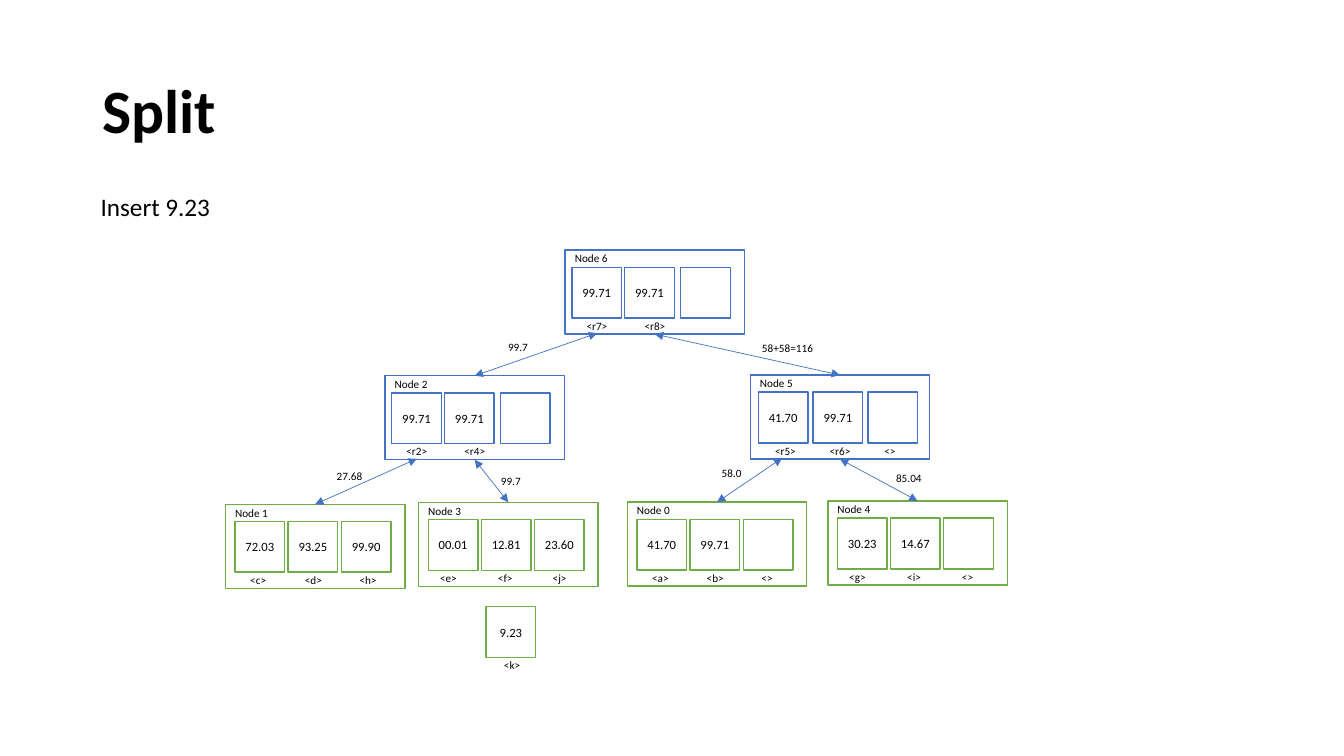
import pptx
import pptx.dml.color
import pptx.enum.shapes
import pptx.enum.text
import pptx.oxml
import pptx.oxml.ns
import pptx.util

Pt = pptx.util.Pt
BLUE, GREEN, BLACK, WHITE = "4472C4", "70AD47", "000000", "FFFFFF"
NODE_WIDTH, NODE_HEIGHT = 128.2, 60
CELL_WIDTH, CELL_HEIGHT = 35.5, 36.3
CELL_TOP, LABEL_TOP = 12.2, 49.3
LABEL_WIDTH, LABEL_HEIGHT = 15.1, 9.4
TOP, BOTTOM = 0, 2

# Offsets from the left side of a node
LEAF_CELLS = (6.9, 44.8, 82.8)
INNER_CELLS = (4.8, 42.5, 82.5)
SPREAD_CELLS = (5.8, 44.9, 84.2)
LABELS = (15.3, 56.7, 95.8)
INSET_LABELS = (17.7, 56.7, 95.8)

# name, left, top, colour, cell offsets, label offsets, values, labels
NODES = [
    ("Node 0", 448.1, 358.7, GREEN, LEAF_CELLS, INSET_LABELS,
     ("41.70", "99.71", ""), ("<a>", "<b>", "<>")),
    ("Node 1", 161, 360.2, GREEN, LEAF_CELLS, INSET_LABELS,
     ("72.03", "93.25", "99.90"), ("<c>", "<d>", "<h>")),
    ("Node 2", 275, 268.4, BLUE, INNER_CELLS, LABELS,
     ("99.71", "99.71", ""), ("<r2>", "<r4>", "")),
    ("Node 3", 299, 358.8, GREEN, LEAF_CELLS, LABELS,
     ("00.01", "12.81", "23.60"), ("<e>", "<f>", "<j>")),
    ("Node 4", 591.3, 357.8, GREEN, LEAF_CELLS, LABELS,
     ("30.23", "14.67", ""), ("<g>", "<i>", "<>")),
    ("Node 5", 535.9, 267.9, BLUE, SPREAD_CELLS, INSET_LABELS,
     ("41.70", "99.71", ""), ("<r5>", "<r6>", "<>")),
    ("Node 6", 403.7, 178.7, BLUE, INNER_CELLS, LABELS,
     ("99.71", "99.71", ""), ("<r7>", "<r8>", "")),
]
WIDE_LABELS = {"<r6>": 20.2}

# parent, child, starts at the parent's middle, text, text left, text top, text width
EDGES = [
    ("Node 6", "Node 2", False, "99.7", 362.9, 243.4, 26.6),
    ("Node 6", "Node 5", True, "58+58=116", 544.3, 244.1, 69.1),
    ("Node 2", "Node 1", False, "27.68", 240.5, 335.5, 26.6),
    ("Node 2", "Node 3", True, "99.7", 357.8, 339.1, 26.6),
    ("Node 5", "Node 0", False, "58.0", 515.5, 333.4, 26.6),
    ("Node 5", "Node 4", True, "85.04", 640.1, 337, 26.6),
]
FIRST_POINTER = 22.8


def rgb(value):
    return pptx.dml.color.RGBColor.from_string(value)


class TreeSlide:
    font = "Calibri"

    def __init__(self, slide):
        self.slide = slide

    def style(self, paragraph, size, bold=False):
        paragraph.font.name = self.font
        paragraph.font.size = Pt(size)
        paragraph.font.bold = bold
        paragraph.font.color.rgb = rgb(BLACK)

    def no_margins(self, frame):
        frame.margin_left = frame.margin_right = 0
        frame.margin_top = frame.margin_bottom = 0

    def text(self, text, left, top, width, height, size, bold=False):
        box = self.slide.shapes.add_textbox(Pt(left), Pt(top), Pt(width), Pt(height))
        frame = box.text_frame
        frame.word_wrap = True
        frame.text = text
        self.style(frame.paragraphs[0], size, bold)
        return frame

    def label(self, text, left, top, width=LABEL_WIDTH):
        self.no_margins(self.text(text, left, top, width, LABEL_HEIGHT, 8))

    def title(self, text):
        frame = self.text(text, 66, 28.8, 828, 104.4, 44, bold=True)
        frame.vertical_anchor = pptx.enum.text.MSO_ANCHOR.MIDDLE
        frame.paragraphs[0].line_spacing = 0.9

    def box(self, left, top, width, height, colour):
        shape = self.slide.shapes.add_shape(
            pptx.enum.shapes.MSO_SHAPE.RECTANGLE, Pt(left), Pt(top), Pt(width), Pt(height))
        shape.shadow.inherit = False
        shape.fill.solid()
        shape.fill.fore_color.rgb = rgb(WHITE)
        shape.line.color.rgb = rgb(colour)
        shape.line.width = Pt(1)
        return shape

    def cell(self, value, left, top, colour):
        shape = self.box(left, top, CELL_WIDTH, CELL_HEIGHT, colour)
        if value:
            frame = shape.text_frame
            self.no_margins(frame)
            frame.vertical_anchor = pptx.enum.text.MSO_ANCHOR.MIDDLE
            frame.text = value
            frame.paragraphs[0].alignment = pptx.enum.text.PP_ALIGN.CENTER
            self.style(frame.paragraphs[0], 9)

    def node(self, name, left, top, colour, cell_offsets, label_offsets, values, labels):
        shape = self.box(left, top, NODE_WIDTH, NODE_HEIGHT, colour)
        self.label(name, left + 6.9, top + 1.2, CELL_WIDTH)
        for offset, value in zip(cell_offsets, values):
            self.cell(value, left + offset, top + CELL_TOP, colour)
        for offset, label in zip(label_offsets, labels):
            if label:
                self.label(label, left + offset, top + LABEL_TOP,
                           WIDE_LABELS.get(label, LABEL_WIDTH))
        return shape

    def edge(self, parent, child, from_middle):
        """Draw a two-headed arrow from a parent's bottom to a child's top."""
        line = self.slide.shapes.add_connector(
            pptx.enum.shapes.MSO_CONNECTOR.STRAIGHT,
            parent.left + Pt(FIRST_POINTER), parent.top + parent.height - Pt(0.7),
            child.left + child.width // 2, child.top)
        if from_middle:
            line.begin_connect(parent, BOTTOM)
        line.end_connect(child, TOP)
        line.line.color.rgb = rgb(BLUE)
        line.line.width = Pt(0.5)
        outline = line.line._get_or_add_ln()
        for tag in ("a:headEnd", "a:tailEnd"):
            end = pptx.oxml.parse_xml(f"<{tag} {pptx.oxml.ns.nsdecls('a')} type='triangle'/>")
            outline.append(end)
        effects = pptx.oxml.parse_xml(f"<a:effectLst {pptx.oxml.ns.nsdecls('a')}/>")
        line._element.spPr.append(effects)


def main():
    presentation = pptx.Presentation()
    presentation.slide_width = Pt(960)
    presentation.slide_height = Pt(540)
    tree = TreeSlide(presentation.slides.add_slide(presentation.slide_layouts[6]))

    tree.title("Split")
    tree.text("Insert 9.23", 64.8, 133.2, 175, 28.8, 18)

    nodes = {node[0]: tree.node(*node) for node in NODES}
    for parent, child, from_middle, text, left, top, width in EDGES:
        tree.edge(nodes[parent], nodes[child], from_middle)
        tree.label(text, left, top, width)

    tree.cell("9.23", 347.2, 433.4, GREEN)
    tree.label("<k>", 360, 470.2)

    presentation.save("out.pptx")


if __name__ == "__main__":
    main()
